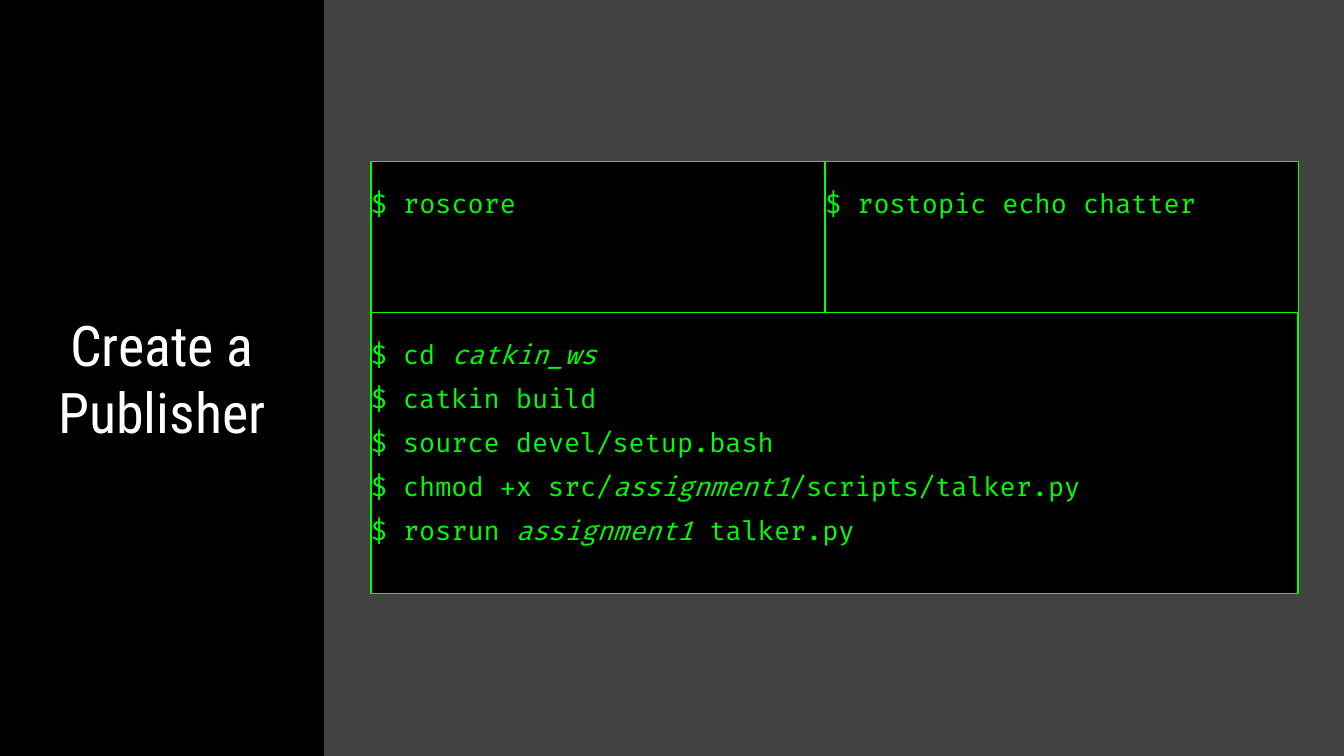
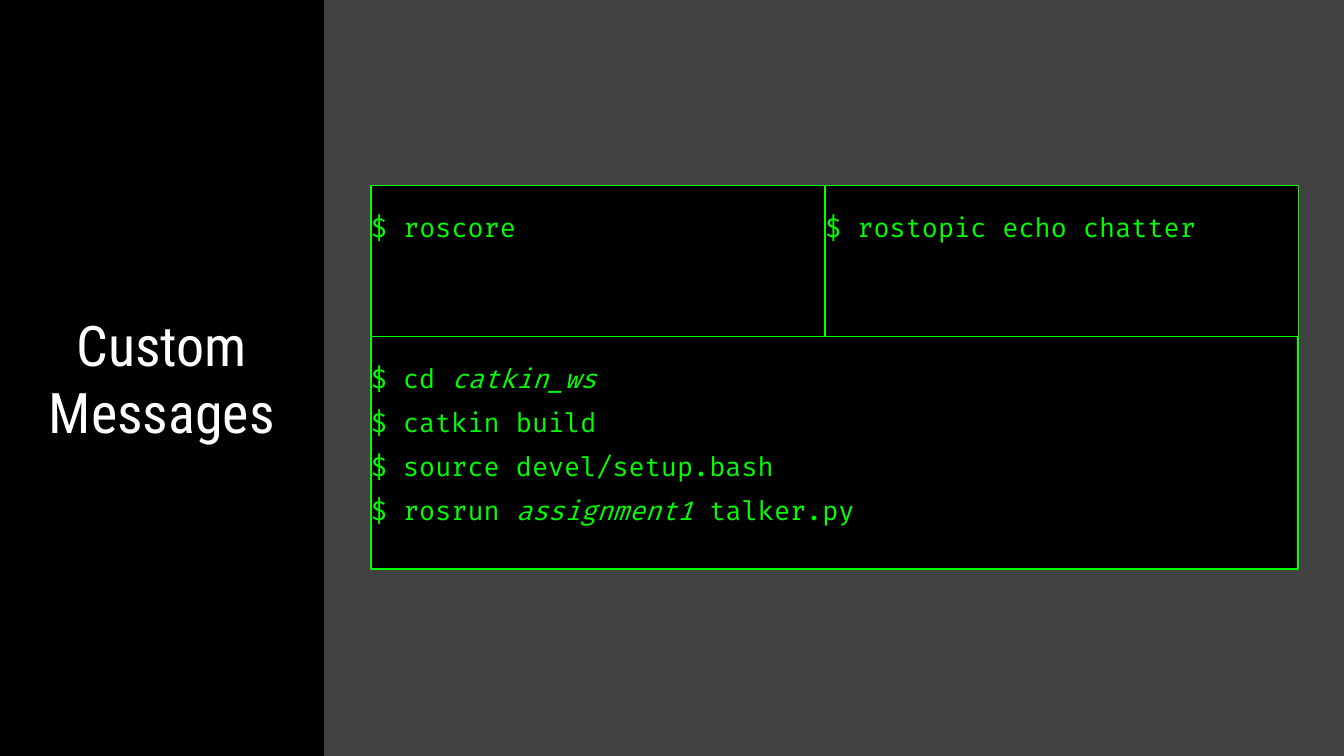
from pptx import Presentation
from pptx.dml.color import RGBColor as RGB
from pptx.enum.shapes import MSO_SHAPE as SHAPE
from pptx.enum.text import MSO_ANCHOR as ANCHOR, MSO_AUTO_SIZE as FIT, PP_ALIGN as ALIGN
from pptx.util import Inches, Pt

COLORS = {"back": "424242", "panel": "000000", "code": "00FF00", "title": "FFFFFF"}
WIDE = 10
HIGH = WIDE * 9 / 16
LEFT, SPLIT, RIGHT = 2.76, 6.14, 9.66
ROW = HIGH / 5

# Text between asterisks is italic
SETUP = ["$ cd *catkin_ws*", "$ catkin build", "$ source devel/setup.bash"]
CHMOD = "$ chmod +x src/*assignment1*/scripts/talker.py"
RUN = "$ rosrun *assignment1 *talker.py"

# Title, top of the panes, height of the lower pane, its commands
SLIDES = [
    ("Create a Publisher", 1.2, 2.09, SETUP + [CHMOD, RUN]),
    ("Custom Messages", 1.38, 1.73, SETUP + [RUN]),
]


def paint(fill, color):
    fill.solid()
    fill.fore_color.rgb = RGB.from_string(COLORS[color])


def add_run(para, text, font, size, color, slant=False):
    run = para.add_run()
    run.text = text
    run.font.name = font
    run.font.size = Pt(size)
    run.font.italic = slant
    run.font.color.rgb = RGB.from_string(COLORS[color])


def set_frame(frame, side, anchor):
    frame.word_wrap = True
    frame.auto_size = FIT.NONE
    frame.vertical_anchor = anchor
    frame.margin_left = frame.margin_right = Inches(side)
    frame.margin_top = frame.margin_bottom = Inches(0.1)


def add_title(slide, text):
    title = slide.shapes.title
    title.left = title.top = Inches(0)
    title.width, title.height = Inches(2.41), Inches(HIGH)
    paint(title.fill, "panel")
    set_frame(title.text_frame, 0.1, ANCHOR.MIDDLE)
    para = title.text_frame.paragraphs[0]
    para.alignment = ALIGN.CENTER
    add_run(para, text, "Roboto Condensed", 30, "title")


def add_pane(slide, left, top, wide, high, lines):
    pane = slide.shapes.add_shape(
        SHAPE.RECTANGLE, Inches(left), Inches(top), Inches(wide), Inches(high))
    pane.shadow.inherit = False
    paint(pane.fill, "panel")
    paint(pane.line.fill, "code")
    pane.line.width = Pt(0.75)
    frame = pane.text_frame
    set_frame(frame, 0, ANCHOR.TOP)
    for num, line in enumerate(lines):
        para = frame.add_paragraph() if num else frame.paragraphs[0]
        para.alignment = ALIGN.LEFT
        para.line_spacing = 1.4
        for part, text in enumerate(line.split("*")):
            if text:
                add_run(para, text, "Fira Code", 14, "code", part % 2 == 1)


def add_slide(deck, name, top, high, lines):
    slide = deck.slides.add_slide(deck.slide_layouts[5])
    paint(slide.background.fill, "back")
    add_title(slide, name)
    # Terminal panes: two above, one wide below
    add_pane(slide, LEFT, top, SPLIT - LEFT, ROW, ["$ roscore"])
    add_pane(slide, LEFT, top + ROW, RIGHT - LEFT, high, lines)
    add_pane(slide, SPLIT, top, RIGHT - SPLIT, ROW, ["$ rostopic echo chatter"])


def main():
    deck = Presentation()
    deck.slide_width, deck.slide_height = Inches(WIDE), Inches(HIGH)
    for item in SLIDES:
        add_slide(deck, *item)
    deck.save("out.pptx")


if __name__ == "__main__":
    main()
